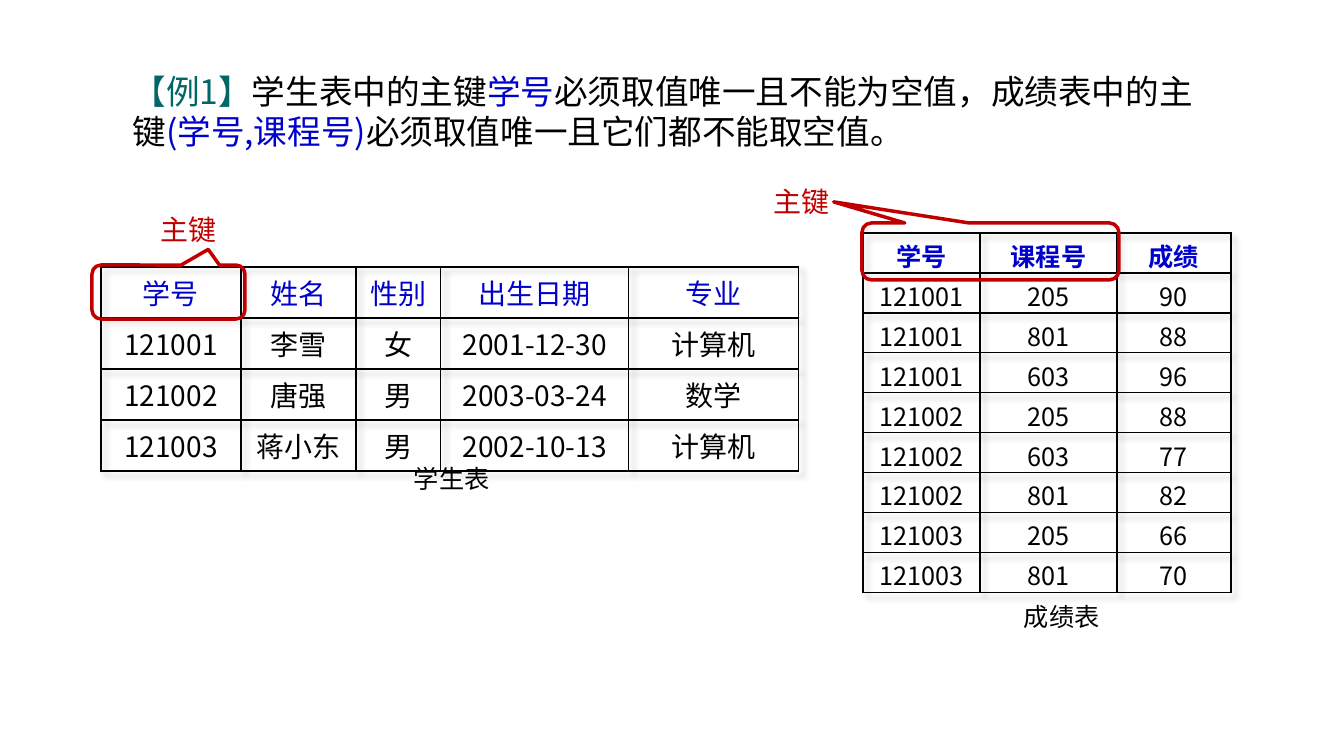
from dataclasses import dataclass

from lxml import etree
from pptx import Presentation
from pptx import util as u
from pptx.dml.color import RGBColor
from pptx.enum import shapes, text
from pptx.oxml import parse_xml
from pptx.oxml.ns import nsdecls, qn

EMU_PER_PX = 914400 / 100.8


@dataclass(frozen=True)
class Theme:
    font: str = "Noto Sans CJK SC"
    ink: str = "000000"
    paper: str = "FFFFFF"
    key: str = "0000CC"
    example: str = "006666"
    callout: str = "C00000"
    lead_size: int = 24
    label_size: int = 20
    small_size: int = 18


def px(length):
    return u.Emu(round(length * EMU_PER_PX))


def place(*lengths):
    return [px(length) for length in lengths]


def write(para, words, *, font, size, color, bold=False, align=None):
    """Append one formatted span to a paragraph."""
    span = para.add_run()
    span.text = words
    span.font.name = font
    span.font.size = u.Pt(size)
    span.font.bold = bold
    span.font.color.rgb = RGBColor.from_string(color)
    east_asian = etree.SubElement(span.font._element, qn("a:ea"))
    east_asian.set("typeface", font)
    if align is not None:
        para.alignment = align


def border_cell(cell, color):
    for side in "LRTB":
        cell._tc.get_or_add_tcPr().append(parse_xml(
            f'<a:ln{side} {nsdecls("a")} w="12700"><a:solidFill>'
            f'<a:srgbClr val="{color}"/></a:solidFill></a:ln{side}>'))


def style_table(table):
    """Remove the banded style and give the grid a soft shadow."""
    table.first_row = table.horz_banding = False
    properties = table._tbl.tblPr
    properties.find(qn("a:tableStyleId")).text = "{2D5ABB26-0587-4C30-8999-92F81FD0307C}"
    properties.insert(0, parse_xml(
        f'<a:effectLst {nsdecls("a")}><a:outerShdw blurRad="50800" dist="50800" '
        'dir="2700000" algn="tl" rotWithShape="0"><a:srgbClr val="000000">'
        '<a:alpha val="30000"/></a:srgbClr></a:outerShdw></a:effectLst>'))


class SlideBuilder:
    def __init__(self, slide, theme):
        self.slide = slide
        self.theme = theme

    def lead(self, box, spans):
        """Fill the body placeholder with coloured spans."""
        self.slide.shapes.title._element.getparent().remove(self.slide.shapes.title._element)
        body = self.slide.placeholders[1]
        body.left, body.top, body.width, body.height = place(*box)
        frame = body.text_frame
        frame.auto_size = text.MSO_AUTO_SIZE.NONE
        frame.vertical_anchor = text.MSO_ANCHOR.TOP
        frame.margin_top = px(12)
        para = frame.paragraphs[0]
        para.line_spacing = 1.0
        para.space_before = para.space_after = u.Pt(0)
        properties = para._p.get_or_add_pPr()
        properties.set("marL", "457200")
        properties.set("indent", "0")
        etree.SubElement(properties, qn("a:buNone"))
        for words, color in spans:
            write(para, words, font=self.theme.font, size=self.theme.lead_size, color=color)

    def table(self, left, top, widths, row_height, rows, *, size, bold_header=False,
              anchor=text.MSO_ANCHOR.MIDDLE, margins=(5, 5)):
        frame = self.slide.shapes.add_table(
            len(rows), len(widths),
            *place(left, top, sum(widths), row_height * len(rows)))
        table = frame.table
        style_table(table)
        for column, width in zip(table.columns, widths):
            column.width = px(width)
        for r, values in enumerate(rows):
            table.rows[r].height = px(row_height)
            header = r == 0
            for c, value in enumerate(values):
                cell = table.cell(r, c)
                border_cell(cell, self.theme.ink)
                cell.fill.background()
                cell.vertical_anchor = anchor
                cell.margin_top, cell.margin_bottom = place(*margins)
                write(cell.text_frame.paragraphs[0], value, font=self.theme.font, size=size,
                      color=self.theme.key if header else self.theme.ink,
                      bold=header and bold_header, align=text.PP_ALIGN.CENTER)

    def caption(self, box, words):
        frame = self.slide.shapes.add_textbox(*place(*box)).text_frame
        frame.word_wrap = True
        write(frame.paragraphs[0], words, font=self.theme.font,
              size=self.theme.small_size, color=self.theme.ink)

    def key_callout(self, label_box, frame_box, tip):
        """Frame key columns and point the frame at its label."""
        group = self.slide.shapes.add_group_shape()
        label = group.shapes.add_shape(shapes.MSO_SHAPE.RECTANGLE, *place(*label_box))
        label.shadow.inherit = False
        label.fill.solid()
        label.fill.fore_color.rgb = RGBColor.from_string(self.theme.paper)
        label.line.fill.background()
        write(label.text_frame.paragraphs[0], "主键", font=self.theme.font,
              size=self.theme.label_size, color=self.theme.callout, align=text.PP_ALIGN.LEFT)

        outline = group.shapes.add_shape(
            shapes.MSO_SHAPE.ROUNDED_RECTANGULAR_CALLOUT, *place(*frame_box))
        outline.shadow.inherit = False
        outline.fill.background()
        outline.line.color.rgb = RGBColor.from_string(self.theme.callout)
        outline.line.width = u.Pt(2.5)
        outline.adjustments[0], outline.adjustments[1] = tip


STUDENTS = [
    ("学号", "姓名", "性别", "出生日期", "专业"),
    ("121001", "李雪", "女", "2001-12-30", "计算机"),
    ("121002", "唐强", "男", "2003-03-24", "数学"),
    ("121003", "蒋小东", "男", "2002-10-13", "计算机"),
]
SCORES = [
    ("学号", "课程号", "成绩"),
    ("121001", "205", "90"),
    ("121001", "801", "88"),
    ("121001", "603", "96"),
    ("121002", "205", "88"),
    ("121002", "603", "77"),
    ("121002", "801", "82"),
    ("121003", "205", "66"),
    ("121003", "801", "70"),
]


def main():
    theme = Theme()
    deck = Presentation()
    deck.slide_width, deck.slide_height = place(1344, 756)
    page = SlideBuilder(deck.slides.add_slide(deck.slide_layouts[1]), theme)

    page.lead((72, 59, 1159, 124), [
        ("【例1】", theme.example),
        ("学生表中的主键", theme.ink),
        ("学号", theme.key),
        ("必须取值唯一且不能为空值，成绩表中的主键", theme.ink),
        ("(学号,课程号)", theme.key),
        ("必须取值唯一且它们都不能取空值。", theme.ink),
    ])
    page.table(101, 267, (140, 115, 85, 188, 170), 51, STUDENTS, size=theme.label_size)
    page.caption((404, 458, 122, 40), "学生表")
    page.key_callout((151, 207, 94, 44), (92, 265, 153, 54), (0.26, -0.79))

    page.table(863, 233, (117, 137, 114), 40, SCORES, size=theme.small_size,
               bold_header=True, anchor=text.MSO_ANCHOR.TOP, margins=(4, 0))
    page.key_callout((764, 179, 118, 44), (862, 223, 257, 57), (-0.61, -0.87))
    page.caption((1014, 596, 96, 40), "成绩表")

    deck.save("out.pptx")


if __name__ == "__main__":
    main()
